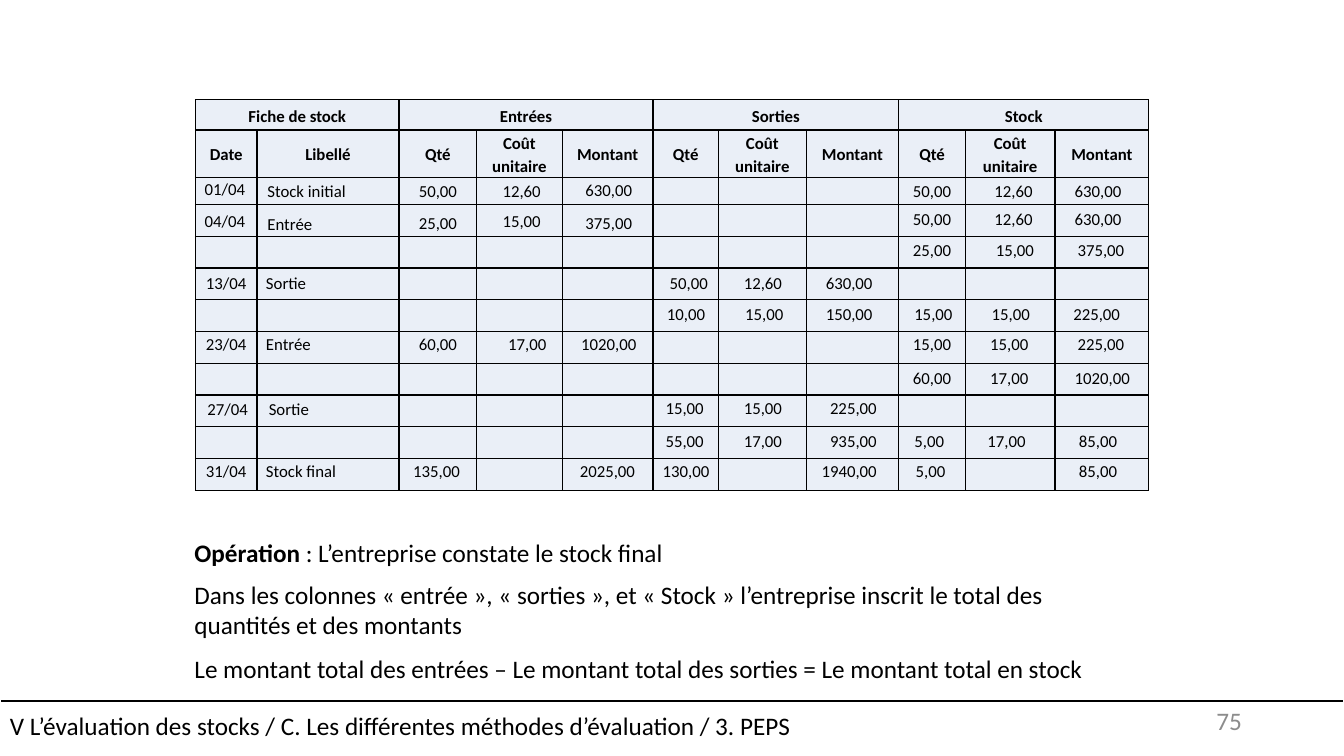
from lxml import etree
from pptx import Presentation
from pptx.dml.color import RGBColor
from pptx.enum.shapes import MSO_CONNECTOR, MSO_SHAPE
from pptx.enum.text import MSO_ANCHOR, MSO_AUTO_SIZE, PP_ALIGN
from pptx.oxml.ns import qn
from pptx.util import Pt

LEFT, MID, RIGHT = PP_ALIGN.LEFT, PP_ALIGN.CENTER, PP_ALIGN.RIGHT
TOP, MIDDLE = MSO_ANCHOR.TOP, MSO_ANCHOR.MIDDLE
GROW = MSO_AUTO_SIZE.SHAPE_TO_FIT_TEXT
RECT, STRAIGHT = MSO_SHAPE.RECTANGLE, MSO_CONNECTOR.STRAIGHT

COLORS = {"ink": "000000", "cell": "EAEFF7", "page": "FFFFFF", "number": "8C8C8C"}
FONT = "Calibri"
WIDE, HIGH = 960, 540

# Table grid
GRID = (139.7, 71.3)
COLS = [43.9, 101.5, 55.4, 61.2, 64.8, 46.8, 62.6, 66.2, 47.5, 64.1, 67]
ROWS = [21.6, 33.8, 19.4] + [22.7] * 9
GROUPS = [("Fiche de stock", 0, 1), ("Entrées", 2, 4), ("Sorties", 5, 7), ("Stock", 8, 10)]
HEADS = ["Date", "Libellé"] + ["Qté", "Coût unitaire", "Montant"] * 3

# Middle and width of the entry boxes in each column
SLOTS = [(161.6, 45.4), (231.9, 98), (312.8, 51), (372.6, 62), (434.9, 62.6),
         (490, 49), (545, 62.6), (606.6, 62.6), (665.7, 49), (722, 62.6), (784.4, 62.6)]

# Entries: top, then column: text or (text, shift right, shift down)
ENTRIES = [
    (125.3, {0: ("01/04", -1, -1), 1: ("Stock initial", 1, 0), 2: "50,00", 3: "12,60",
             4: ("630,00", 0, -0.5), 8: "50,00", 9: ("12,60", 2, 0), 10: "630,00"}),
    (148.3, {0: ("04/04", -1, -1), 1: ("Entrée", 1, 1), 2: "25,00", 3: ("15,00", 0, -1),
             4: "375,00", 8: ("50,00", 0, -3), 9: ("12,60", 2, -3), 10: ("630,00", 0, -3)}),
    (167.8, {8: "25,00", 9: ("15,00", 3, 0), 10: ("375,00", 2, 0)}),
    (191.5, {0: "13/04", 1: "Sortie", 5: ("50,00", 2, 0), 6: "12,60", 7: "630,00"}),
    (213.1, {5: "10,00", 6: ("15,00", 1, 0), 7: "150,00",
             8: ("15,00", 1, 0), 9: "15,00", 10: ("225,00", -1, 0)}),
    (234.7, {0: "23/04", 1: "Entrée", 2: "60,00", 3: ("17,00", 4, 0), 4: "1020,00",
             8: "15,00", 9: ("15,00", -1, 0), 10: ("225,00", 2, 0)}),
    (259.2, {8: "60,00", 9: ("17,00", -1, 0), 10: ("1020,00", 3, 0)}),
    (281.5, {0: ("27/04", 1, 0), 1: ("Sortie", 2, 0), 5: ("15,00", -1, -1),
             6: ("15,00", 0, -1), 7: ("225,00", 3, -1)}),
    (303.8, {5: ("55,00", -1, 0), 6: "17,00", 7: ("935,00", 3, 0),
             8: ("5,00", -2, 0), 9: ("17,00", -3, 0), 10: "85,00"}),
    (325.4, {0: "31/04", 1: "Stock final", 2: ("135,00", -1, 0), 4: ("2025,00", -1, 0),
             5: "130,00", 7: "1940,00", 8: ("5,00", -1, 0), 10: "85,00"}),
]

# Remarks under the table: top, height, bold lead, text
REMARKS = [
    (380.2, 29, "Opération", " : L’entreprise constate le stock final"),
    (410.4, 51, "", "Dans les colonnes « entrée », « sorties », et « Stock » "
     "l’entreprise inscrit le total des quantités et des montants"),
    (463, 29, "", "Le montant total des entrées – Le montant total des sorties "
     "= Le montant total en stock"),
]
TRAIL = "V L’évaluation des stocks / C. Les différentes méthodes d’évaluation / 3. PEPS"


def tint(name):
    return RGBColor.from_string(COLORS[name])


def write(frame, text, lead="", size=12, color="ink", bold=False, align=LEFT, space=None):
    para = frame.paragraphs[0]
    para.alignment = align
    if space:
        para.line_spacing = space
    for part, heavy in ((lead, True), (text, bold)):
        if part:
            run = para.add_run()
            run.text = part
            font = run.font
            font.name, font.size, font.bold = FONT, Pt(size), heavy
            font.color.rgb = tint(color)


def add_text(slide, box, text, anchor=TOP, fit=True, **form):
    frame = slide.shapes.add_textbox(*map(Pt, box)).text_frame
    frame.word_wrap = True
    frame.vertical_anchor = anchor
    if fit:
        frame.auto_size = GROW
    write(frame, text, **form)


def add_rule(slide, top):
    rule = slide.shapes.add_connector(STRAIGHT, 0, Pt(top), Pt(WIDE), Pt(top))
    rule.line.color.rgb = tint("ink")
    rule.line.width = Pt(1.5)
    etree.SubElement(rule._element.spPr, qn("a:effectLst"))


def add_footer(slide, box, text):
    bar = slide.shapes.add_shape(RECT, *map(Pt, box))
    bar.shadow.inherit = False
    bar.fill.background()
    bar.line.color.rgb = tint("page")
    bar.line.width = Pt(1)
    bar.text_frame.vertical_anchor = MIDDLE
    write(bar.text_frame, text, size=18)


def style_cell(cell):
    cell.vertical_anchor = MIDDLE
    cell.margin_left = cell.margin_right = Pt(3.6)
    cell.margin_top = cell.margin_bottom = 0
    props = cell._tc.get_or_add_tcPr()
    for side in ("lnL", "lnR", "lnT", "lnB"):
        edge = etree.SubElement(props, qn("a:" + side), w=str(Pt(1)))
        fill = etree.SubElement(edge, qn("a:solidFill"))
        etree.SubElement(fill, qn("a:srgbClr"), val=COLORS["ink"])
    cell.fill.solid()
    cell.fill.fore_color.rgb = tint("cell")


def add_grid(slide):
    box = (*GRID, sum(COLS), sum(ROWS))
    table = slide.shapes.add_table(len(ROWS), len(COLS), *map(Pt, box)).table
    for col, width in zip(table.columns, COLS):
        col.width = Pt(width)
    for row, height in zip(table.rows, ROWS):
        row.height = Pt(height)
    for cell in table.iter_cells():
        style_cell(cell)
    head = {"bold": True, "align": MID, "space": 1.15}
    for text, first, last in GROUPS:
        table.cell(0, first).merge(table.cell(0, last))
        write(table.cell(0, first).text_frame, text, **head)
    for col, text in enumerate(HEADS):
        write(table.cell(1, col).text_frame, text, **head)
    # Small type in the empty cells keeps the rows low
    for cell in table.iter_cells():
        if not cell.text_frame.text:
            etree.SubElement(cell.text_frame.paragraphs[0]._p, qn("a:endParaRPr"), sz="1200")


def add_entries(slide):
    for top, items in ENTRIES:
        for col, item in items.items():
            text, right, down = (item, 0, 0) if isinstance(item, str) else item
            mid, width = SLOTS[col]
            box = (mid - width / 2 + right, top + down, width, 21.6)
            add_text(slide, box, text, align=LEFT if col == 1 else MID)


def main():
    deck = Presentation()
    deck.slide_width, deck.slide_height = Pt(WIDE), Pt(HIGH)
    slide = deck.slides.add_slide(deck.slide_layouts[6])
    # Stock sheet
    add_rule(slide, 500.4)
    add_grid(slide)
    add_entries(slide)
    # Remarks
    for top, height, lead, text in REMARKS:
        add_text(slide, (131.8, top, 680, height), text, lead=lead, size=18)
    # Footer
    add_footer(slide, (0, 496.8, WIDE, 43.2), TRAIL)
    add_text(slide, (678.2, 500.4, 216, 28.8), "75", anchor=MIDDLE, fit=False,
             size=18, color="number", align=RIGHT)
    deck.save("out.pptx")


if __name__ == "__main__":
    main()
